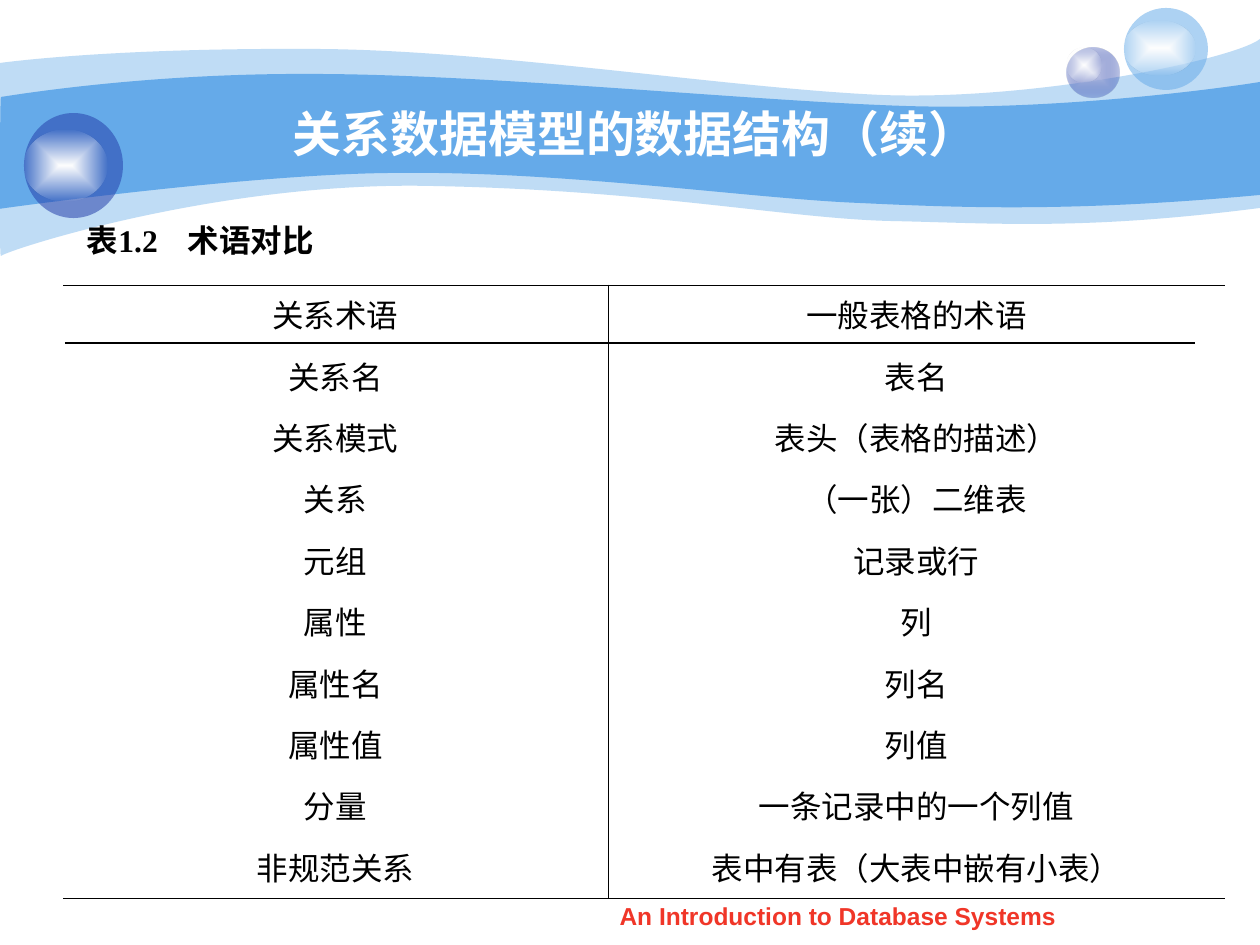
import lxml.etree
import pptx
import pptx.dml.color
import pptx.enum.shapes
import pptx.enum.text
import pptx.oxml
import pptx.oxml.ns
import pptx.util

PX = 914400 / 126
COLORS = {
    "sky": "65AAE9",
    "navy": "233DA9",
    "lilac": "C6CCE8",
    "white": "FFFFFF",
    "glint_rim": "FEFEFE",
    "ink": "000000",
    "footer": "F03628",
}
TERMS = [
    ("关系术语", "一般表格的术语"),
    ("关系名", "表名"),
    ("关系模式", "表头（表格的描述）"),
    ("关系", "（一张）二维表"),
    ("元组", "记录或行"),
    ("属性", "列"),
    ("属性名", "列名"),
    ("属性值", "列值"),
    ("分量", "一条记录中的一个列值"),
    ("非规范关系", "表中有表（大表中嵌有小表）"),
]
OUTER_WAVE = [
    [(0, 24)],
    [(30, 20), (135, 9), (311, 10)],
    [(486, 10), (725, 49), (881, 56)],
    [(1036, 62), (1235, 20), (1260, 0)],
    [(1260, 169)],
    [(1081, 192), (992, 184), (888, 182)],
    [(784, 179), (649, 151), (432, 147)],
    [(217, 142), (5, 212), (1, 217)],
    [(-1, 223), (0, 56), (0, 24)],
]
INNER_WAVE = [
    [(1, 24)],
    [(3, 24), (139, 0), (312, 1)],
    [(486, 1), (750, 28), (905, 33)],
    [(1060, 38), (1230, 14), (1260, 9)],
    [(1260, 122)],
    [(1075, 139), (964, 135), (859, 130)],
    [(755, 126), (563, 98), (399, 100)],
    [(256, 100), (-3, 136), (-1, 136)],
    [(0, 136), (0, 24), (1, 24)],
]
GLINT = [("white", 100), ("glint_rim", 0)]


def px(length):
    """Turn px into EMU."""
    return pptx.util.Emu(round(length * PX))


def rgb(color):
    """Look up a named colour."""
    return pptx.dml.color.RGBColor.from_string(COLORS[color])


def color_xml(color, alpha):
    """Describe a colour with its opacity in percent."""
    return f'<a:srgbClr val="{COLORS[color]}"><a:alpha val="{alpha * 1000}"/></a:srgbClr>'


def paint(shape, stops):
    """Fill a shape with one colour, or with a gradient from its centre to its rim."""
    ns = pptx.oxml.ns.nsdecls("a")
    if len(stops) == 1:
        xml = f"<a:solidFill {ns}>{color_xml(*stops[0])}</a:solidFill>"
    else:
        centre, rim = (color_xml(*stop) for stop in stops)
        xml = (
            f'<a:gradFill {ns} rotWithShape="1"><a:gsLst><a:gs pos="0">{centre}</a:gs>'
            f'<a:gs pos="100000">{rim}</a:gs></a:gsLst><a:path path="rect">'
            '<a:fillToRect l="50000" t="50000" r="50000" b="50000"/></a:path></a:gradFill>'
        )
    shape.shadow.inherit = False
    shape.line.fill.background()
    shape.fill.background()
    properties = shape._element.spPr
    no_fill = properties.find(pptx.oxml.ns.qn("a:noFill"))
    properties.replace(no_fill, pptx.oxml.parse_xml(xml))


def style(paragraph, font_name, size, color, bold, align):
    """Format a paragraph and its runs."""
    paragraph.alignment = align
    for run in paragraph.runs:
        run.font.name = font_name
        run.font.size = pptx.util.Pt(size)
        run.font.bold = bold
        run.font.color.rgb = rgb(color)


def add_wave(slide, box, curves, stops):
    """Draw a wave outline from cubic curves and straight edges."""
    left, top = box
    start = curves[0][0]
    builder = slide.shapes.build_freeform(px(start[0]), px(start[1]))
    builder.add_line_segments(
        [(px(x), px(y)) for curve in curves[1:] for x, y in curve], close=True)
    wave = builder.convert_to_shape(px(left), px(top))
    segments = list(wave._element.iter(pptx.oxml.ns.qn("a:lnTo")))
    for curve in curves[1:]:
        edges, segments = segments[:len(curve)], segments[len(curve):]
        if len(curve) == 3:
            bezier = lxml.etree.Element(pptx.oxml.ns.qn("a:cubicBezTo"))
            edges[0].addprevious(bezier)
            for edge in edges:
                bezier.append(edge[0])
                edge.getparent().remove(edge)
    paint(wave, stops)


def add_ball(slide, box, body_stops, glint):
    """Draw a ball with a glint placed from its left edge."""
    left, top, width, height = box
    glint_top, glint_width, glint_height = glint
    ball = slide.shapes.add_group_shape()
    parts = [
        (top, width, height, body_stops),
        (top + glint_top, glint_width, glint_height, GLINT),
    ]
    for part_top, part_width, part_height, stops in parts:
        oval = ball.shapes.add_shape(
            pptx.enum.shapes.MSO_SHAPE.OVAL,
            px(left), px(part_top), px(part_width), px(part_height),
        )
        paint(oval, stops)


def add_label(slide, box, text, font_name, size, color, align, anchor):
    """Place a bold line of text and return its frame."""
    frame = slide.shapes.add_textbox(*map(px, box)).text_frame
    frame.word_wrap = True
    frame.vertical_anchor = anchor
    frame.text = text
    style(frame.paragraphs[0], font_name, size, color, True, align)
    return frame


def add_caption(slide, box):
    """Place the table caption with a tab between number and name."""
    frame = add_label(slide, box, "表1.2\t术语对比", "Times New Roman", 18, "ink",
                      pptx.enum.text.PP_ALIGN.LEFT, pptx.enum.text.MSO_ANCHOR.TOP)
    frame.margin_left = px(62)
    properties = frame.paragraphs[0]._p.get_or_add_pPr()
    tabs = lxml.etree.SubElement(properties, pptx.oxml.ns.qn("a:tabLst"))
    lxml.etree.SubElement(tabs, pptx.oxml.ns.qn("a:tab"), pos=str(px(101)), algn="l")


def set_borders(cell, ruled):
    """Rule the given sides of a cell and clear the others."""
    properties = cell._tc.get_or_add_tcPr()
    for side in "LRTB":
        fill = (f'<a:solidFill><a:srgbClr val="{COLORS["ink"]}"/></a:solidFill>'
                if side in ruled else "<a:noFill/>")
        properties.append(pptx.oxml.parse_xml(
            f'<a:ln{side} {pptx.oxml.ns.nsdecls("a")} w="5715">{fill}</a:ln{side}>'))


def add_terms(slide, box):
    """Place the table of terms and the rule under its heading row."""
    left, top, width, height = box
    table = slide.shapes.add_table(len(TERMS), 2, *map(px, box)).table
    table.first_row = table.horz_banding = False
    relation_width = 545
    table.columns[0].width = px(relation_width)
    table.columns[1].width = px(width - relation_width)
    for row, terms in enumerate(TERMS):
        table.rows[row].height = px(height / len(TERMS))
        for column, term in enumerate(terms):
            cell = table.cell(row, column)
            cell.text = term
            style(cell.text_frame.paragraphs[0], "Times New Roman", 18, "ink", False,
                  pptx.enum.text.PP_ALIGN.CENTER)
            outer = {0: "T", len(TERMS) - 1: "B"}.get(row, "")
            set_borders(cell, "RL"[column] + outer)
            cell.fill.background()
    rule = slide.shapes.add_connector(
        pptx.enum.shapes.MSO_CONNECTOR.STRAIGHT,
        px(left + 2), px(top + 58), px(left + 1132), px(top + 58),
    )
    rule.line.color.rgb = rgb("ink")
    rule.line.width = pptx.util.Pt(0.75)
    lxml.etree.SubElement(rule._element.spPr, pptx.oxml.ns.qn("a:effectLst"))


def main():
    """Build and save the slide."""
    deck = pptx.Presentation()
    deck.slide_width, deck.slide_height = px(1260), px(945)
    slide = deck.slides.add_slide(deck.slide_layouts[6])
    centre = pptx.enum.text.PP_ALIGN.CENTER
    anchors = pptx.enum.text.MSO_ANCHOR
    add_wave(slide, (0, 39), OUTER_WAVE, [("sky", 41)])
    add_wave(slide, (0, 73), INNER_WAVE, [("sky", 100)])
    add_ball(slide, (1067, 48, 53, 50), [("lilac", 100), ("navy", 31)], (0, 35, 34))
    add_ball(slide, (1124, 8, 84, 82), [("sky", 53)], (13, 71, 54))
    add_ball(slide, (24, 113, 99, 105), [("navy", 53)], (17, 83, 71))
    add_label(slide, (126, 94, 1018, 78), "关系数据模型的数据结构（续）",
              "Arial", 28, "white", centre, anchors.MIDDLE)
    add_terms(slide, (63, 285, 1162, 614))
    add_caption(slide, (25, 215, 355, 50))
    add_label(slide, (431, 895, 814, 44), "An Introduction to Database Systems",
              "Arial", 14, "footer", centre, anchors.TOP)
    deck.save("out.pptx")


if __name__ == "__main__":
    main()
